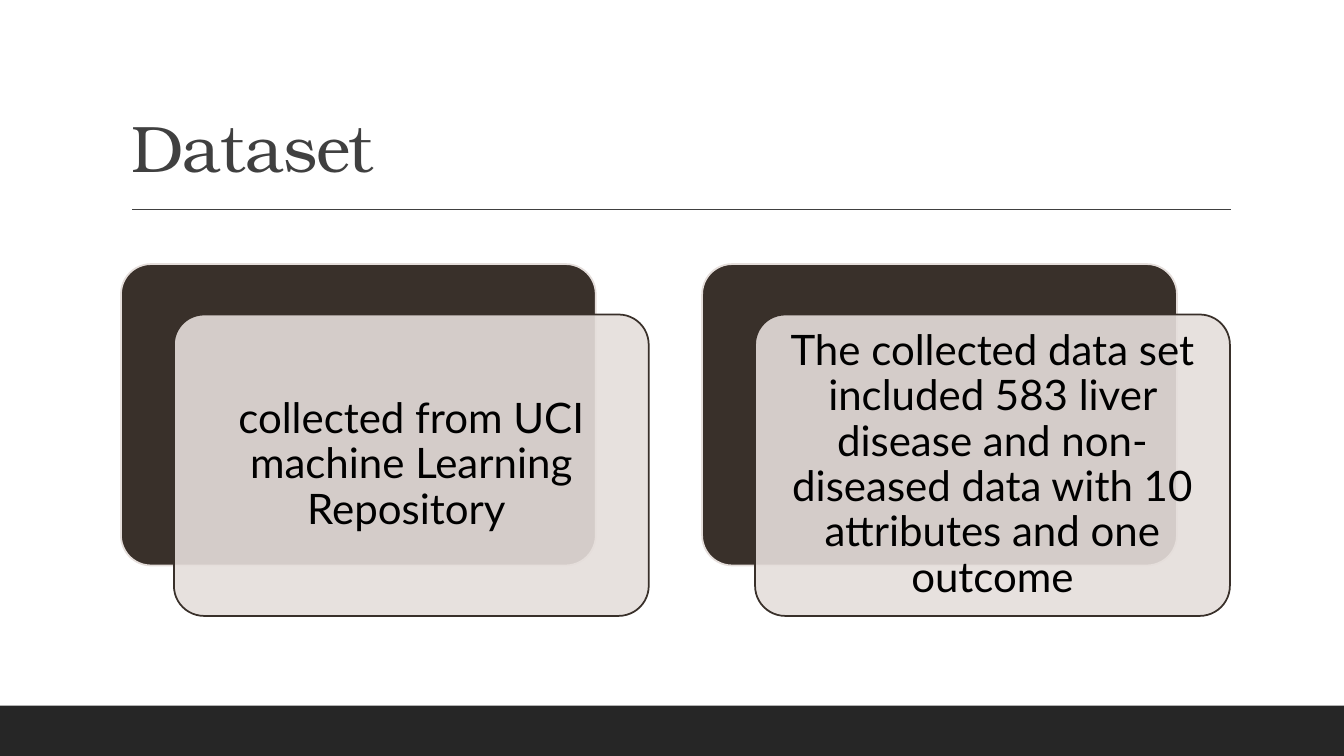
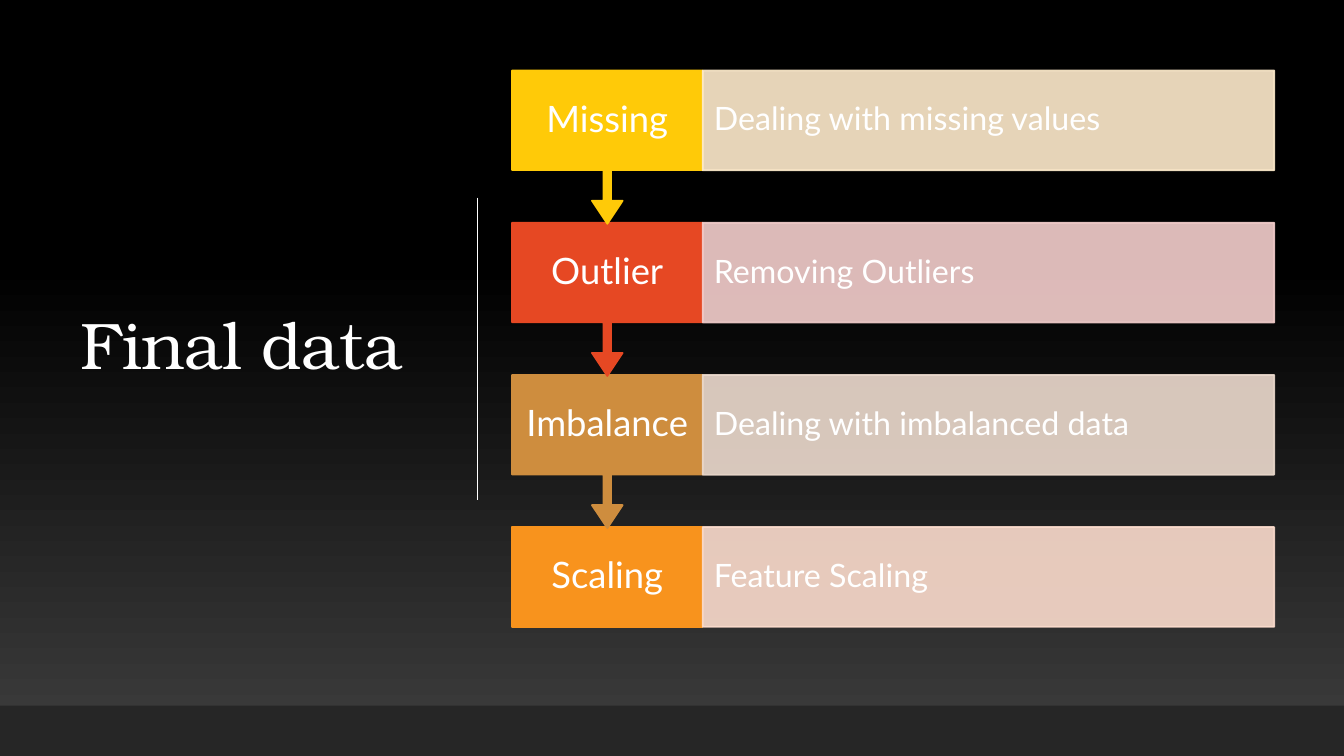
import pptx
import pptx.dml.color
import pptx.enum.shapes
import pptx.enum.text
import pptx.oxml.ns
import pptx.util
from lxml import etree

KIND = pptx.enum.shapes.MSO_SHAPE
ALIGN = pptx.enum.text.PP_ALIGN
ANCHOR = pptx.enum.text.MSO_ANCHOR
tag = pptx.oxml.ns.qn

deck = pptx.Presentation()
deck.slide_width = pptx.util.Inches(13.333)
deck.slide_height = pptx.util.Inches(7.5)

# Grid: 100 columns by 100 rows
COL = deck.slide_width / 100
ROW = deck.slide_height / 100

SERIF, SANS = "TeX Gyre Bonum", "Lato"
WHITE, BLACK, GREY = "FFFFFF", "000000", "404040"
BAND, DARK, PALE = "262626", "39302A", "E5DEDB"


def paint(fill, hue, alpha=100, base=None):
    """Fill with one colour, or fade up from base to hue."""
    rgb = pptx.dml.color.RGBColor.from_string
    if base:
        fill.gradient()
        fill.gradient_angle = 90
        low, high = fill.gradient_stops
        low.color.rgb, high.color.rgb = rgb(base), rgb(hue)
        low.position, high.position = 0, 0.65
        return
    fill.solid()
    fill.fore_color.rgb = rgb(hue)
    if alpha < 100:
        tone = fill._xPr.find(".//" + tag("a:srgbClr"))
        etree.SubElement(tone, tag("a:alpha"), val=str(alpha * 1000))


def block(slide, kind, at, fill=None, edge=None, alpha=100, fade=100, text="",
          face=SANS, size=30, ink=BLACK, align=ALIGN.CENTER,
          anchor=ANCHOR.MIDDLE, pad=(0.75, 0.67), adj=()):
    """Place a shape, or a text box when kind is None, on the grid."""
    x, y, w, h = at
    place = int(x * COL), int(y * ROW), int(w * COL), int(h * ROW)
    if kind is None:
        item = slide.shapes.add_textbox(*place)
    else:
        item = slide.shapes.add_shape(kind, *place)
        item.shadow.inherit = False
        paint(item.fill, fill, alpha)
        if edge:
            paint(item.line.fill, edge, fade)
            item.line.width = pptx.util.Pt(1.25)
        else:
            item.line.fill.background()
        for i, part in enumerate(adj):
            item.adjustments[i] = part
    if text:
        frame = item.text_frame
        frame.word_wrap = True
        frame.vertical_anchor = anchor
        frame.margin_left = frame.margin_right = int(pad[0] * COL)
        frame.margin_top = frame.margin_bottom = int(pad[1] * ROW)
        para = frame.paragraphs[0]
        para.text, para.alignment, para.line_spacing = text, align, 0.9
        para.font.name, para.font.size = face, pptx.util.Pt(size)
        paint(para.font.fill, ink)
        if face == SERIF:
            para.font._rPr.set("spc", "-50")


# Shared frame: background, title, rule and bottom band
frames = [
    ("Dataset", WHITE, None, GREY, (9, 4.13, 82.5, 21.2), ANCHOR.BOTTOM,
     (9.83, 27.73, 91.58, 27.73)),
    ("Final data", BLACK, "3F3F3F", WHITE, (5.25, 9.2, 27.68, 73.73),
     ANCHOR.MIDDLE, (35.55, 26.13, 35.55, 66.13)),
]
slides = []
for title, back, base, ink, at, anchor, (x1, y1, x2, y2) in frames:
    slide = deck.slides.add_slide(deck.slide_layouts[6])
    paint(slide.background.fill, back, base=base)
    block(slide, None, at, text=title, face=SERIF, size=47, ink=ink,
          align=ALIGN.LEFT, anchor=anchor)
    rule = slide.shapes.add_connector(
        pptx.enum.shapes.MSO_CONNECTOR.STRAIGHT,
        int(x1 * COL), int(y1 * ROW), int(x2 * COL), int(y2 * ROW))
    paint(rule.line.fill, ink)
    rule.line.width = pptx.util.Pt(1)
    etree.SubElement(rule._element.spPr, tag("a:effectLst"))
    block(slide, KIND.RECTANGLE, (0, 93.33, 100, 6.67), BAND)
    slides.append(slide)
data, final = slides

# Dataset: two cards, each over a dark plate
cards = [
    "collected from UCI machine Learning Repository ",
    "The collected data set included 583 liver disease and non- diseased "
    "data with 10 attributes and one outcome",
]
for i, text in enumerate(cards):
    x, y, w, h = 9 + i * 43.24, 34.93, 35.33, 39.87
    block(data, KIND.ROUNDED_RECTANGLE, (x, y, w, h), DARK, PALE, adj=[0.1])
    block(data, KIND.ROUNDED_RECTANGLE, (x + 3.94, y + 6.67, w, h), PALE, DARK,
          alpha=90, text=text, pad=(0.9, 1.6), adj=[0.1])

# Final data: four steps, drawn upwards so each arrow tip lies on top
steps = [
    ("Missing", "Dealing with missing values", "FFCA08", "FFECCC"),
    ("Outlier", "Removing Outliers", "E64823", "F5CFCD"),
    ("Imbalance", "Dealing with imbalanced data", "CE8D3E", "EDDBCE"),
    ("Scaling", "Feature Scaling", "F8931D", "FCDCCD"),
]
for i, (name, note, hue, tint) in reversed(list(enumerate(steps))):
    y, h = 9.33 + i * 20.13, 13.2
    if i == len(steps) - 1:
        kind, tall, adj = KIND.RECTANGLE, h, []
    else:
        kind, tall, adj = KIND.DOWN_ARROW_CALLOUT, 20.27, [0.05, 0.1, 0.15, 0.65]
    block(final, kind, (38.1, y, 14.18, tall), hue, hue, text=name, size=26,
          ink=WHITE, pad=(0.97, 2.67), adj=adj)
    block(final, KIND.RECTANGLE, (52.28, y, 42.53, h), tint, tint, alpha=90,
          fade=90, text=note, size=23, ink=WHITE, align=ALIGN.LEFT,
          pad=(0.83, 4.27))

deck.save("out.pptx")
